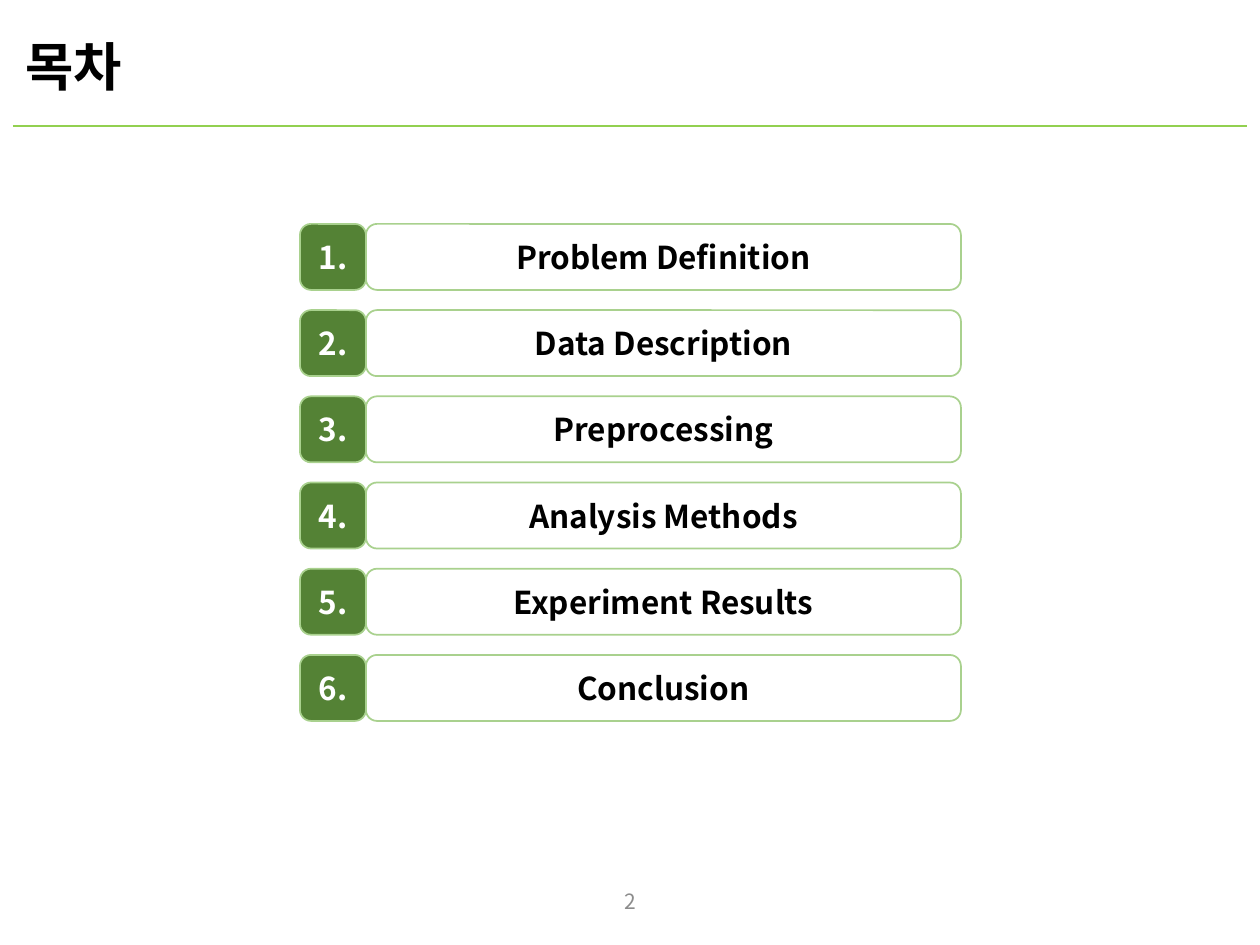
"""Builds a table-of-contents slide with six numbered entries."""
from pptx import Presentation
from pptx.dml.color import RGBColor
from pptx.enum.shapes import MSO_CONNECTOR, MSO_SHAPE
from pptx.enum.text import MSO_ANCHOR, PP_ALIGN
from pptx.oxml.ns import qn
from pptx.util import Pt
from lxml import etree

ROUNDED = MSO_SHAPE.ROUNDED_RECTANGLE
STRAIGHT = MSO_CONNECTOR.STRAIGHT
MIDDLE = MSO_ANCHOR.MIDDLE
LEFT, CENTER = PP_ALIGN.LEFT, PP_ALIGN.CENTER

TITLE = "목차"
PAGE_NUMBER = "2"
ENTRIES = [
    "Problem Definition",
    "Data Description",
    "Preprocessing",
    "Analysis Methods",
    "Experiment Results",
    "Conclusion",
]

THEME = {
    "font": "Noto Sans CJK KR",
    "text": "000000",
    "paper": "FFFFFF",
    "badge": "548235",
    "border": "A9D18E",
    "rule": "92D050",
    "muted": "8C8C8C",
    "title_size": 30,
    "entry_size": 18,
    "page_size": 12,
    "line_width": 1,
}

PX = 914400 // 126
SLIDE_W, SLIDE_H = 1260, 945
MARGIN, RULE_Y = 13, 126
TITLE_BOX = (MARGIN, 18, SLIDE_W - 2 * MARGIN + 1, 103)
PAGE_BOX = (489, 876, 283, 50)
LIST_LEFT, LIST_TOP, LIST_BOTTOM = 300, 224, 721
ROW_H, BAR_W = 66, 595


def px(*values):
    return [round(v * PX) for v in values]


def color(name):
    return RGBColor.from_string(THEME[name])


def write(s, text, size, ink, align, bold=True):
    tf = s.text_frame
    tf.word_wrap = True
    tf.vertical_anchor = MIDDLE
    tf.text = text
    p = tf.paragraphs[0]
    p.alignment = align
    font = p.runs[0].font
    font.name = THEME["font"]
    font.size = Pt(THEME[size])
    font.bold = bold
    font.color.rgb = color(ink)
    ea = etree.SubElement(p.runs[0].font._element, qn("a:ea"))
    ea.set("typeface", THEME["font"])
    return p


def add_box(slide, box, fill, text, ink):
    s = slide.shapes.add_shape(ROUNDED, *px(*box))
    s.shadow.inherit = False
    s.fill.solid()
    s.fill.fore_color.rgb = color(fill)
    s.line.color.rgb = color("border")
    s.line.width = Pt(THEME["line_width"])
    write(s, text, "entry_size", ink, CENTER)


def add_rule(slide):
    line = slide.shapes.add_connector(
        STRAIGHT, *px(MARGIN, RULE_Y, SLIDE_W - MARGIN, RULE_Y))
    line.line.color.rgb = color("rule")
    line.line.width = Pt(THEME["line_width"])
    etree.SubElement(line._element.spPr, qn("a:effectLst"))


def add_entries(slide):
    pitch = (LIST_BOTTOM - ROW_H - LIST_TOP) / (len(ENTRIES) - 1)
    for i, entry in enumerate(ENTRIES):
        top = LIST_TOP + i * pitch
        add_box(slide, (LIST_LEFT + ROW_H, top, BAR_W, ROW_H),
                "paper", entry, "text")
        add_box(slide, (LIST_LEFT, top, ROW_H, ROW_H),
                "badge", f"{i + 1}.", "paper")


def main():
    prs = Presentation()
    prs.slide_width, prs.slide_height = px(SLIDE_W, SLIDE_H)
    slide = prs.slides.add_slide(prs.slide_layouts[6])
    add_rule(slide)
    title = slide.shapes.add_textbox(*px(*TITLE_BOX))
    write(title, TITLE, "title_size", "text", LEFT).line_spacing = 0.9
    page = slide.shapes.add_textbox(*px(*PAGE_BOX))
    write(page, PAGE_NUMBER, "page_size", "muted", CENTER, bold=False)
    add_entries(slide)
    prs.save("out.pptx")


main()
